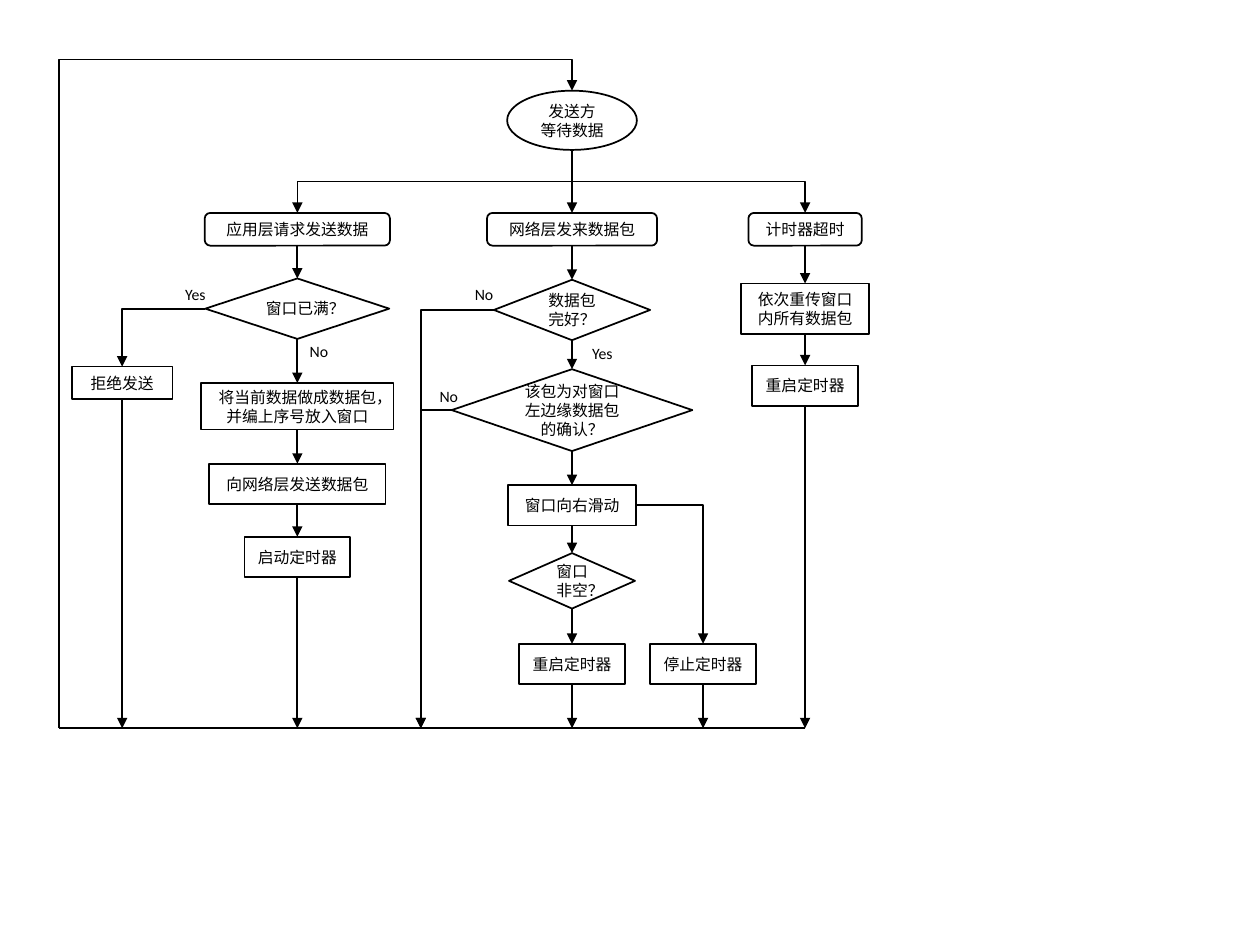
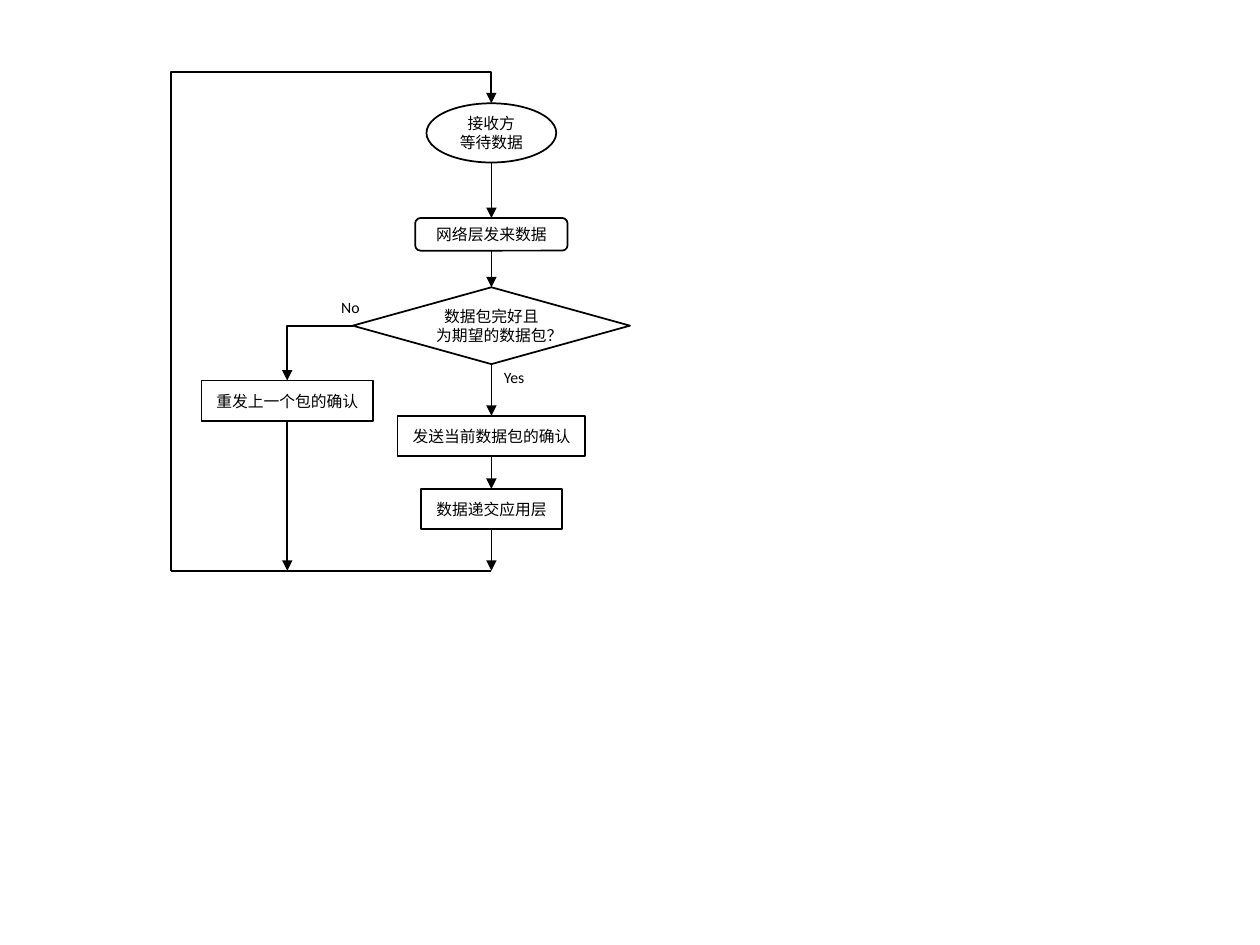
from itertools import pairwise

from lxml import etree
from pptx import Presentation
from pptx import util as u
from pptx.dml.color import RGBColor
from pptx.enum import shapes, text
from pptx.oxml import ns

COLORS = {"ink": "000000", "paper": "FFFFFF"}
FONT, FONT_SIZE, LINE_WIDTH = "Calibri", 9, 1
KINDS = {
    "state": shapes.MSO_SHAPE.OVAL,
    "event": shapes.MSO_SHAPE.ROUNDED_RECTANGLE,
    "step": shapes.MSO_SHAPE.RECTANGLE,
    "test": shapes.MSO_SHAPE.FLOWCHART_DECISION,
}
HEIGHTS = {"state": 0.47, "event": 0.26, "step": 0.32, "test": 0.48}
TOP, LEFT, BOTTOM, RIGHT = range(4)
LOOP_RISE = 0.25


def color(name):
    """Return a named colour."""
    return RGBColor.from_string(COLORS[name])


def site(shape, side):
    """Return the middle of one side of a shape, in inches."""
    middle = shape.left + shape.width / 2, shape.top + shape.height / 2
    x, y = {
        TOP: (middle[0], shape.top),
        LEFT: (shape.left, middle[1]),
        BOTTOM: (middle[0], shape.top + shape.height),
        RIGHT: (shape.left + shape.width, middle[1]),
    }[side]
    return u.Emu(int(x)).inches, u.Emu(int(y)).inches


class Flowchart:
    """Holds the flowchart style and the current slide."""

    def __init__(self, presentation):
        """Start with a presentation that has no slides."""
        self.presentation = presentation
        self.slide = None

    def new_slide(self):
        """Add a blank slide and make it current."""
        self.slide = self.presentation.slides.add_slide(
            self.presentation.slide_layouts[6])

    def fill_text(self, frame, content, alignment):
        """Set lines as paragraphs in the shared text style."""
        frame.text = content
        for paragraph in frame.paragraphs:
            paragraph.alignment = alignment
            paragraph.font.name = FONT
            paragraph.font.size = u.Pt(FONT_SIZE)
            paragraph.font.color.rgb = color("ink")

    def node(self, kind, center, top, width, content, height=None):
        """Draw a flowchart node centred on a column."""
        shape = self.slide.shapes.add_shape(
            KINDS[kind], u.Inches(center - width / 2), u.Inches(top),
            u.Inches(width), u.Inches(height or HEIGHTS[kind]))
        shape.shadow.inherit = False
        shape.fill.solid()
        shape.fill.fore_color.rgb = color("paper")
        shape.line.color.rgb = color("ink")
        shape.line.width = u.Pt(LINE_WIDTH)
        frame = shape.text_frame
        frame.word_wrap = True
        frame.vertical_anchor = text.MSO_ANCHOR.MIDDLE
        self.fill_text(frame, content, text.PP_ALIGN.CENTER)
        return shape

    def label(self, left, top, content):
        """Put the answer beside a branch."""
        width = 0.38 if content == "Yes" else 0.35
        box = self.slide.shapes.add_textbox(
            u.Inches(left), u.Inches(top), u.Inches(width), u.Inches(0.25))
        box.text_frame.word_wrap = False
        box.text_frame.auto_size = text.MSO_AUTO_SIZE.SHAPE_TO_FIT_TEXT
        self.fill_text(box.text_frame, content, text.PP_ALIGN.LEFT)

    def line(self, start, end, kind=shapes.MSO_CONNECTOR.STRAIGHT, arrow=True):
        """Draw a connector between two points."""
        connector = self.slide.shapes.add_connector(
            kind, *(u.Inches(value) for value in (*start, *end)))
        connector.line.color.rgb = color("ink")
        connector.line.width = u.Pt(LINE_WIDTH)
        properties = connector._element.spPr
        if arrow:
            etree.SubElement(properties.find(ns.qn("a:ln")),
                             ns.qn("a:tailEnd"), type="triangle")
        etree.SubElement(properties, ns.qn("a:effectLst"))
        return connector

    def chain(self, *nodes):
        """Join nodes of one column from top to bottom."""
        for upper, lower in pairwise(nodes):
            connector = self.line(site(upper, BOTTOM), site(lower, TOP))
            if upper.auto_shape_type != KINDS["state"]:
                connector.begin_connect(upper, BOTTOM)
            connector.end_connect(lower, TOP)

    def drop(self, node, floor):
        """Lead a node straight down to the return line."""
        x, y = site(node, BOTTOM)
        self.line((x, y), (x, floor)).begin_connect(node, BOTTOM)

    def branch(self, node, side, end):
        """Leave a node sideways, then turn down to a point."""
        connector = self.line(site(node, side), end, shapes.MSO_CONNECTOR.ELBOW)
        connector.begin_connect(node, side)
        connector._element.spPr.find(ns.qn("a:prstGeom")).set(
            "prst", "bentConnector2")

    def detour(self, start, end, turn_y):
        """Go vertically to a height, across, then vertically to the end."""
        connector = self.line(start, end, shapes.MSO_CONNECTOR.ELBOW)
        across, down = end[0] - start[0], end[1] - start[1]
        width, height = abs(down), abs(across)
        connector.left = u.Inches((start[0] + end[0] - width) / 2)
        connector.top = u.Inches((start[1] + end[1] - height) / 2)
        connector.width, connector.height = u.Inches(width), u.Inches(height)
        properties = connector._element.spPr
        frame = properties.find(ns.qn("a:xfrm"))
        frame.set("rot", "5400000")
        frame.set("flipH", str(int(down < 0)))
        frame.set("flipV", str(int(across > 0)))
        share = round((turn_y - start[1]) / down * 100000)
        guides = properties.find(ns.qn("a:prstGeom")).find(ns.qn("a:avLst"))
        etree.SubElement(guides, ns.qn("a:gd"), name="adj1", fmla=f"val {share}")

    def return_loop(self, state, left, right, floor):
        """Draw the return line and lead it back to the waiting state."""
        self.line((left, floor), (right, floor), arrow=False)
        x, y = site(state, TOP)
        self.detour((left, floor), (x, y), y - LOOP_RISE)


def draw_sender(chart):
    """Draw the flowchart of the sender."""
    chart.new_slide()
    floor, event_top = 5.78, 1.69
    refuse_x, request_x, reject_x, packet_x, stop_x, timeout_x = (
        0.97, 2.36, 3.34, 4.54, 5.58, 6.39)
    waiting = chart.node("state", packet_x, 0.72, 1.03, "发送方\n等待数据")

    request = chart.node("event", request_x, event_top, 1.47, "应用层请求发送数据")
    full = chart.node("test", request_x, 2.21, 1.46, "窗口已满？")
    pack = chart.node("step", request_x, 3.04, 1.53,
                      "将当前数据做成数据包，\n并编上序号放入窗口", 0.37)
    send = chart.node("step", request_x, 3.68, 1.4, "向网络层发送数据包")
    start_timer = chart.node("step", request_x, 4.26, 0.84, "启动定时器")
    refuse = chart.node("step", refuse_x, 2.91, 0.8, "拒绝发送", 0.26)
    chart.chain(request, full, pack, send, start_timer)
    chart.branch(full, LEFT, site(refuse, TOP))

    packet = chart.node("event", packet_x, event_top, 1.35, "网络层发来数据包")
    intact = chart.node("test", packet_x, 2.22, 1.24, "数据包\n完好？")
    confirms = chart.node("test", packet_x, 2.93, 1.91,
                          "该包为对窗口\n左边缘数据包\n的确认？", 0.65)
    slide_window = chart.node("step", packet_x, 3.85, 1.02, "窗口向右滑动")
    not_empty = chart.node("test", packet_x, 4.39, 1, "窗口\n非空？", 0.44)
    restart = chart.node("step", packet_x, 5.11, 0.84, "重启定时器")
    stop = chart.node("step", stop_x, 5.11, 0.84, "停止定时器")
    chart.chain(waiting, packet, intact, confirms, slide_window, not_empty, restart)
    for test in (intact, confirms):
        chart.branch(test, LEFT, (reject_x, floor))
    chart.branch(slide_window, RIGHT, site(stop, TOP))

    timeout = chart.node("event", timeout_x, event_top, 0.9, "计时器超时")
    resend = chart.node("step", timeout_x, 2.25, 1.02,
                        "依次重传窗口\n内所有数据包", 0.4)
    restart_late = chart.node("step", timeout_x, 2.9, 0.84, "重启定时器")
    chart.chain(timeout, resend, restart_late)

    for event in (request, timeout):
        chart.detour(site(waiting, BOTTOM), site(event, TOP), 1.44)
    for last in (refuse, start_timer, restart, stop, restart_late):
        chart.drop(last, floor)
    chart.return_loop(waiting, 0.47, timeout_x, floor)
    for left, top, answer in ((1.37, 2.21, "Yes"), (2.36, 2.66, "No"),
                              (3.67, 2.21, "No"), (3.39, 3.02, "No"),
                              (4.6, 2.68, "Yes")):
        chart.label(left, top, answer)


def draw_receiver(chart):
    """Draw the flowchart of the receiver."""
    chart.new_slide()
    floor, repeat_x, main_x = 4.53, 2.28, 3.9
    waiting = chart.node("state", main_x, 0.82, 1.03, "接收方\n等待数据")
    arrival = chart.node("event", main_x, 1.73, 1.21, "网络层发来数据")
    expected = chart.node("test", main_x, 2.28, 2.2,
                          "数据包完好且\n为期望的数据包？", 0.61)
    confirm = chart.node("step", main_x, 3.3, 1.49, "发送当前数据包的确认")
    deliver = chart.node("step", main_x, 3.88, 1.12, "数据递交应用层")
    repeat = chart.node("step", repeat_x, 3.02, 1.36, "重发上一个包的确认")
    chart.chain(waiting, arrival, expected, confirm, deliver)
    chart.branch(expected, LEFT, site(repeat, TOP))
    for last in (repeat, deliver):
        chart.drop(last, floor)
    chart.return_loop(waiting, 1.36, main_x, floor)
    chart.label(2.61, 2.31, "No")
    chart.label(main_x, 2.87, "Yes")


def main():
    """Build and save the presentation."""
    presentation = Presentation()
    presentation.slide_width = u.Inches(10)
    presentation.slide_height = u.Inches(7.5)
    chart = Flowchart(presentation)
    draw_sender(chart)
    draw_receiver(chart)
    presentation.save("out.pptx")


main()
